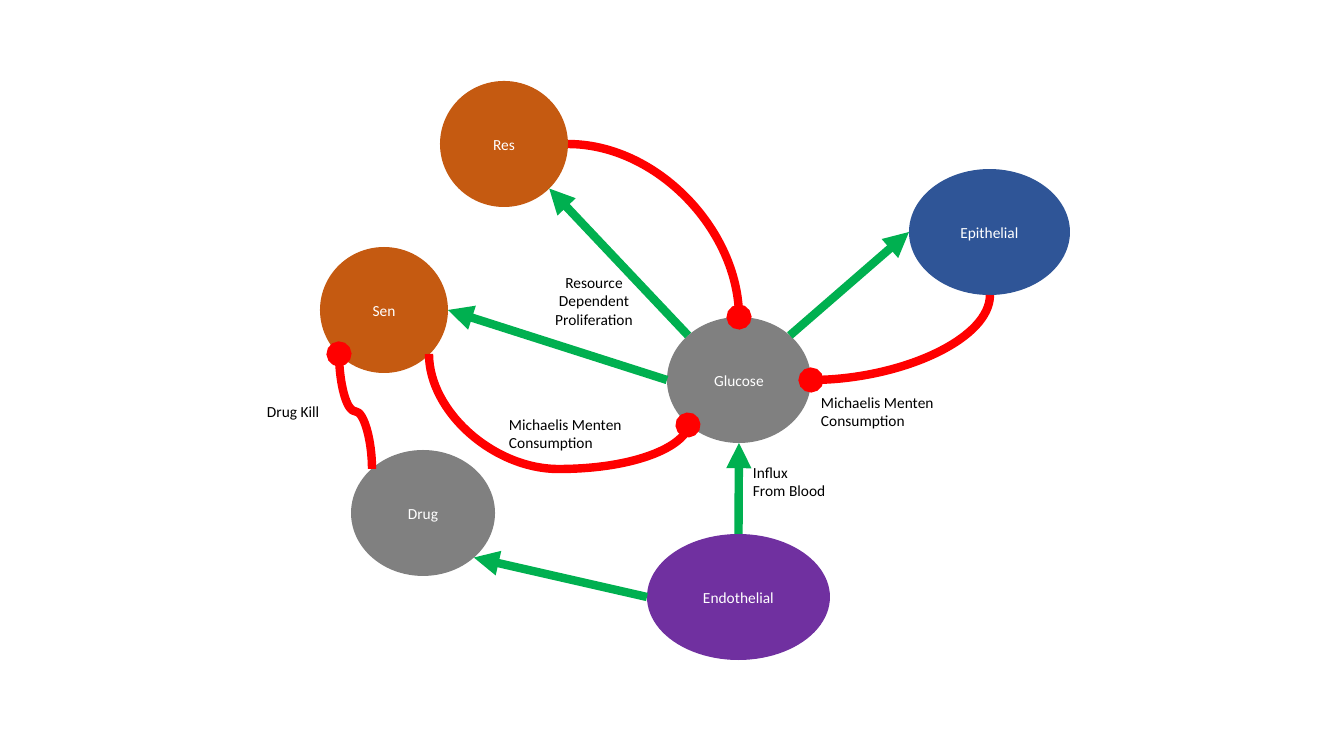
from lxml import etree
from pptx import Presentation
from pptx.dml.color import RGBColor
from pptx.enum.shapes import MSO_CONNECTOR, MSO_SHAPE
from pptx.enum.text import MSO_ANCHOR, MSO_AUTO_SIZE, PP_ALIGN
from pptx.oxml.ns import qn
from pptx.util import Emu, Pt

STRAIGHT, CURVE = MSO_CONNECTOR.STRAIGHT, MSO_CONNECTOR.CURVE
OVAL = MSO_SHAPE.OVAL
LEFT, CENTER = PP_ALIGN.LEFT, PP_ALIGN.CENTER
MIDDLE, TOP = MSO_ANCHOR.MIDDLE, MSO_ANCHOR.TOP
GROW = MSO_AUTO_SIZE.SHAPE_TO_FIT_TEXT
SCALE = 914400 / 100.8
DIAG = 0.5 ** 0.5
# Ellipse connection sites, counter-clockwise from the top
SITES = [(0, -1), (-DIAG, -DIAG), (-1, 0), (-DIAG, DIAG),
         (0, 1), (DIAG, DIAG), (1, 0), (DIAG, -DIAG)]
N, NW, W, SW, S, SE, E, NE = range(8)

ORANGE, GRAY, BLUE, PURPLE = "C55A11", "808080", "2F5597", "7030A0"
GREEN, RED, WHITE, BLACK = "00B050", "FF0000", "FFFFFF", "000000"


def px(n):
    return Emu(round(n * SCALE))


def rgb(code):
    return RGBColor.from_string(code)


class Board:
    def __init__(self, slide, font="Calibri", size=11, weight=6):
        self.slide, self.font = slide, font
        self.size, self.weight = Pt(size), Pt(weight)

    def text(self, shape, lines, color, align, anchor):
        frame = shape.text_frame
        frame.word_wrap = True
        frame.vertical_anchor = anchor
        for i, line in enumerate(lines):
            para = frame.add_paragraph() if i else frame.paragraphs[0]
            para.alignment = align
            run = para.add_run()
            run.text = line
            run.font.name, run.font.size = self.font, self.size
            run.font.color.rgb = rgb(color)

    def node(self, name, color, x, y, w, h=126):
        oval = self.slide.shapes.add_shape(OVAL, px(x), px(y), px(w), px(h))
        oval.shadow.inherit = False
        oval.fill.solid()
        oval.fill.fore_color.rgb = rgb(color)
        oval.line.fill.background()
        self.text(oval, [name], WHITE, CENTER, MIDDLE)
        return oval

    def label(self, lines, x, y, w, h, align=LEFT):
        box = self.slide.shapes.add_textbox(px(x), px(y), px(w), px(h))
        self.text(box, lines, BLACK, align, TOP)
        box.text_frame.auto_size = GROW

    def link(self, kind, ends, color, tip):
        wire = self.slide.shapes.add_connector(kind, *ends)
        wire.line.color.rgb = rgb(color)
        wire.line.width = self.weight
        props = wire.element.spPr
        etree.SubElement(props.find(qn("a:ln")), qn("a:tailEnd"), type=tip)
        etree.SubElement(props, qn("a:effectLst"))
        return wire

    def arrow(self, start, here, end, there):
        """Green arrow glued to one connection site of each ellipse."""
        ends = []
        for oval, site in ((start, here), (end, there)):
            dx, dy = SITES[site]
            ends += [Emu(round(oval.left + oval.width * (1 + dx) / 2)),
                     Emu(round(oval.top + oval.height * (1 + dy) / 2))]
        wire = self.link(STRAIGHT, ends, GREEN, "triangle")
        glue = wire.element.find(".//" + qn("p:cNvCxnSpPr"))
        for tag, oval, site in (("a:stCxn", start, here), ("a:endCxn", end, there)):
            etree.SubElement(glue, qn(tag), id=str(oval.shape_id), idx=str(site))

    def curve(self, start, end, turn=0, bend=None):
        """Red curve from start to end, then turned by whole degrees about its
        centre; bend is the midpoint of an S-curve, None a quarter arc."""
        wire = self.link(CURVE, [px(n) for n in start + end], RED, "oval")
        props = wire.element.spPr
        props.find(qn("a:xfrm")).set("rot", str(turn * 60000))
        shape = props.find(qn("a:prstGeom"))
        shape.set("prst", "curvedConnector3" if bend else "curvedConnector2")
        if bend:
            etree.SubElement(shape.find(qn("a:avLst")), qn("a:gd"), name="adj1",
                             fmla=f"val {round(bend * 100000)}")


def main():
    deck = Presentation()
    deck.slide_width, deck.slide_height = px(1344), px(756)
    board = Board(deck.slides.add_slide(deck.slide_layouts[6]))

    sen = board.node("Sen", ORANGE, 320, 247, 128)
    epi = board.node("Epithelial", BLUE, 909, 169, 161)
    endo = board.node("Endothelial", PURPLE, 647, 534, 183)
    sugar = board.node("Glucose", GRAY, 667, 317, 144)
    res = board.node("Res", ORANGE, 440, 81, 128)
    drug = board.node("Drug", GRAY, 351, 450, 144)

    board.arrow(endo, N, sugar, S)
    board.arrow(sugar, W, sen, E)
    board.arrow(sugar, NE, epi, W)
    board.arrow(sugar, NW, res, SE)
    board.arrow(endo, W, drug, SE)

    board.curve((858, 248), (943, 427), 90)
    board.curve((568, 144), (739, 317))
    board.curve((594, 260), (523, 519), 270, 1.62)
    board.curve((298, 428), (413, 395), 270, 0.5)

    uptake = ["Michaelis Menten Consumption"]
    board.label(["Influx", "From Blood"], 743, 458, 118, 58)
    board.label(["Resource Dependent Proliferation"], 522, 268, 144, 81, CENTER)
    board.label(uptake, 811, 388, 216, 58)
    board.label(uptake, 499, 410, 198, 58)
    board.label(["Drug Kill"], 257, 397, 118, 29)

    deck.save("out.pptx")


if __name__ == "__main__":
    main()
